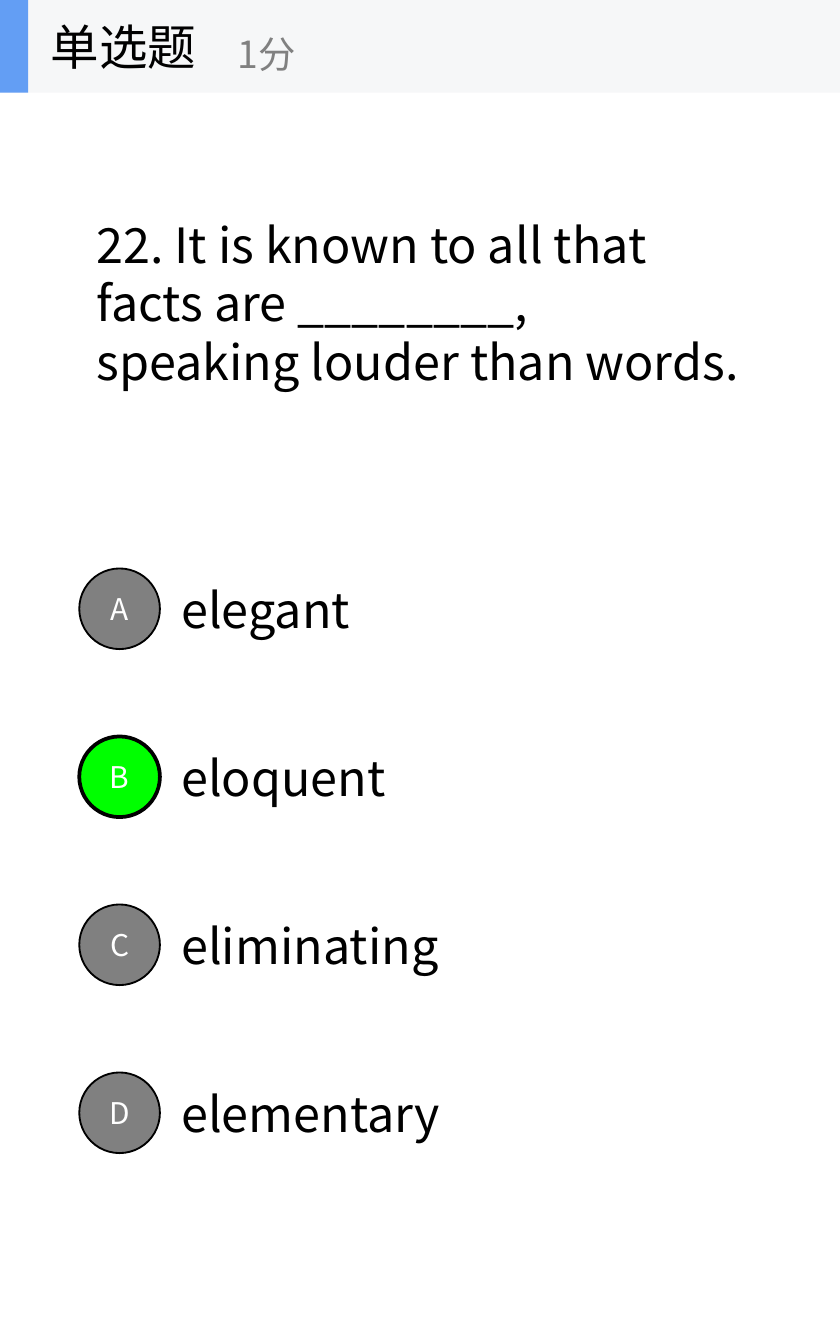
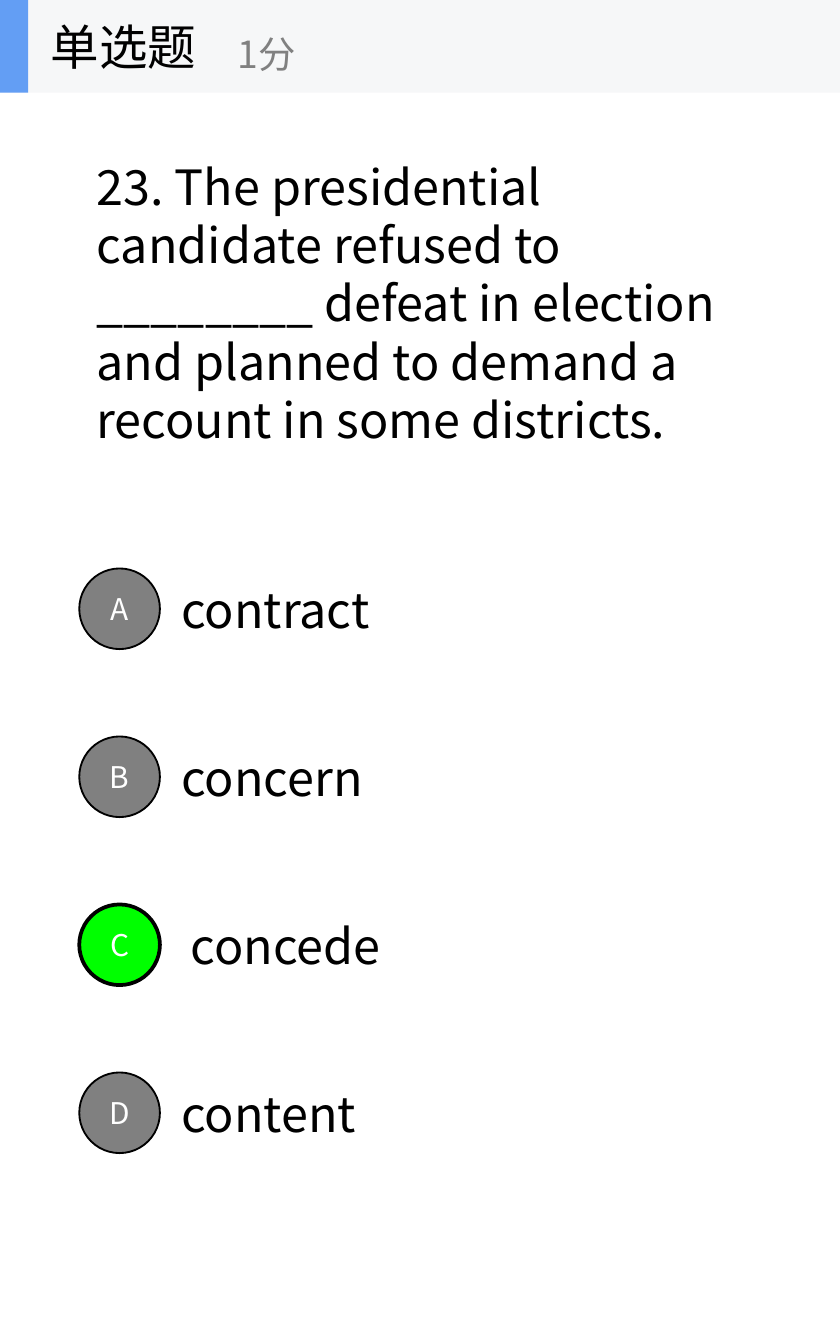
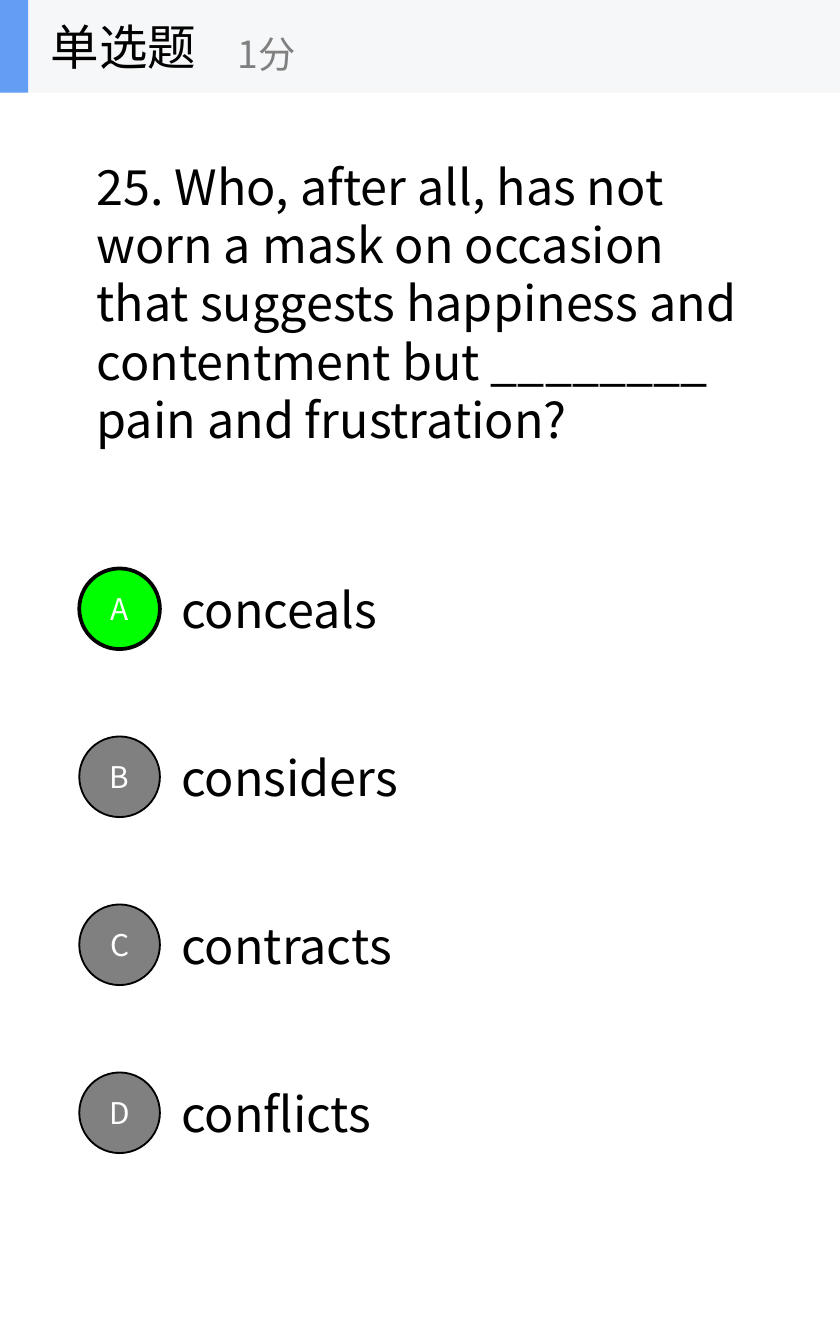
from dataclasses import dataclass

from lxml.etree import SubElement
from pptx import Presentation
from pptx.dml.color import RGBColor
from pptx.enum.shapes import MSO_SHAPE
from pptx.enum.text import MSO_ANCHOR, PP_ALIGN
from pptx.oxml.ns import qn
from pptx.util import Inches, Pt


@dataclass(frozen=True)
class Theme:
    font: str = "Noto Sans CJK SC"
    ink: str = "000000"
    muted: str = "808080"
    correct: str = "00FF00"
    white: str = "FFFFFF"
    band: str = "F6F7F8"
    accent: str = "639EF4"
    body_size: int = 26
    score_size: int = 20
    letter_size: int = 16


THEME = Theme()
WIDTH, HEIGHT = 6.25, 10
HEADER_BOX = (0, 0, WIDTH, 0.69)
QUESTION_BOX = (0.62, 0.69, 5, 3.12)
OPTIONS_BOX = (0.59, 4.06, 5.04, 5)

# Question, options, index of the right answer, label shifts by option index
QUESTIONS = [
    ("22. It is known to all that facts are ________, speaking louder than words.",
     ["elegant", "eloquent", "eliminating", "elementary"], 1, {}),
    ("23. The presidential candidate refused to ________ defeat in election "
     "and planned to demand a recount in some districts.",
     ["contract", "concern", "concede", "content"], 2, {2: 0.07}),
    ("25. Who, after all, has not worn a mask on occasion that suggests "
     "happiness and contentment but ________ pain and frustration?",
     ["conceals", "considers", "contracts", "conflicts"], 0, {}),
]


def rgb(color):
    return RGBColor.from_string(color)


def set_text(sp, text, size, color, align=PP_ALIGN.LEFT, wrap=True):
    tf = sp.text_frame
    tf.text = text
    tf.word_wrap = wrap
    tf.vertical_anchor = MSO_ANCHOR.MIDDLE
    p = tf.paragraphs[0]
    p.alignment = align
    r = p.runs[0]
    r.font.size = Pt(size)
    r.font.color.rgb = rgb(color)
    r.font.name = THEME.font
    # East Asian glyphs use the same typeface
    SubElement(r.font._element, qn("a:ea"), typeface=THEME.font)


def add_text(shapes, box, text, size, color, wrap=True):
    sp = shapes.add_textbox(*map(Inches, box))
    set_text(sp, text, size, color, wrap=wrap)


def add_filled(shapes, kind, box, fill):
    sp = shapes.add_shape(kind, *map(Inches, box))
    sp.shadow.inherit = False
    sp.fill.solid()
    sp.fill.fore_color.rgb = rgb(fill)
    sp.line.fill.background()
    return sp


def add_header(slide, box):
    x, y, w, h = box
    shapes = slide.shapes.add_group_shape().shapes
    # Band and accent bar
    add_filled(shapes, MSO_SHAPE.RECTANGLE, box, THEME.band)
    add_filled(shapes, MSO_SHAPE.RECTANGLE, (x, y, 0.21, h), THEME.accent)
    # Question type and score
    add_text(shapes, (x + 0.28, y, 2.08, h), "单选题",
             THEME.body_size, THEME.ink, wrap=False)
    add_text(shapes, (x + 1.67, y + 0.12, 2.5, 0.56), "1分",
             THEME.score_size, THEME.muted, wrap=False)


def add_options(slide, box, options, answer, shifts):
    x, y, w, h = box
    row_step = h / len(options)
    label_height, label_inset, badge_size = 0.94, 0.66, 0.6
    badge_inset = (label_height - badge_size) / 2
    # Answer labels
    for i, option in enumerate(options):
        label_x = x + label_inset + shifts.get(i, 0)
        add_text(slide.shapes,
                 (label_x, y + i * row_step, w - label_inset, label_height),
                 option, THEME.body_size, THEME.ink)
    # Letter badges
    for i, letter in enumerate("ABCD"):
        right = i == answer
        badge = add_filled(
            slide.shapes, MSO_SHAPE.OVAL,
            (x, y + i * row_step + badge_inset, badge_size, badge_size),
            THEME.correct if right else THEME.muted)
        badge.line.color.rgb = rgb(THEME.ink)
        badge.line.width = Pt(2 if right else 1)
        set_text(badge, letter, THEME.letter_size, THEME.white, PP_ALIGN.CENTER)


def add_question_slide(prs, question, options, answer, shifts):
    slide = prs.slides.add_slide(prs.slide_layouts[6])
    add_text(slide.shapes, QUESTION_BOX, question, THEME.body_size, THEME.ink)
    add_options(slide, OPTIONS_BOX, options, answer, shifts)
    add_header(slide, HEADER_BOX)


def main():
    prs = Presentation()
    prs.slide_width, prs.slide_height = Inches(WIDTH), Inches(HEIGHT)
    for item in QUESTIONS:
        add_question_slide(prs, *item)
    prs.save("out.pptx")


if __name__ == "__main__":
    main()
